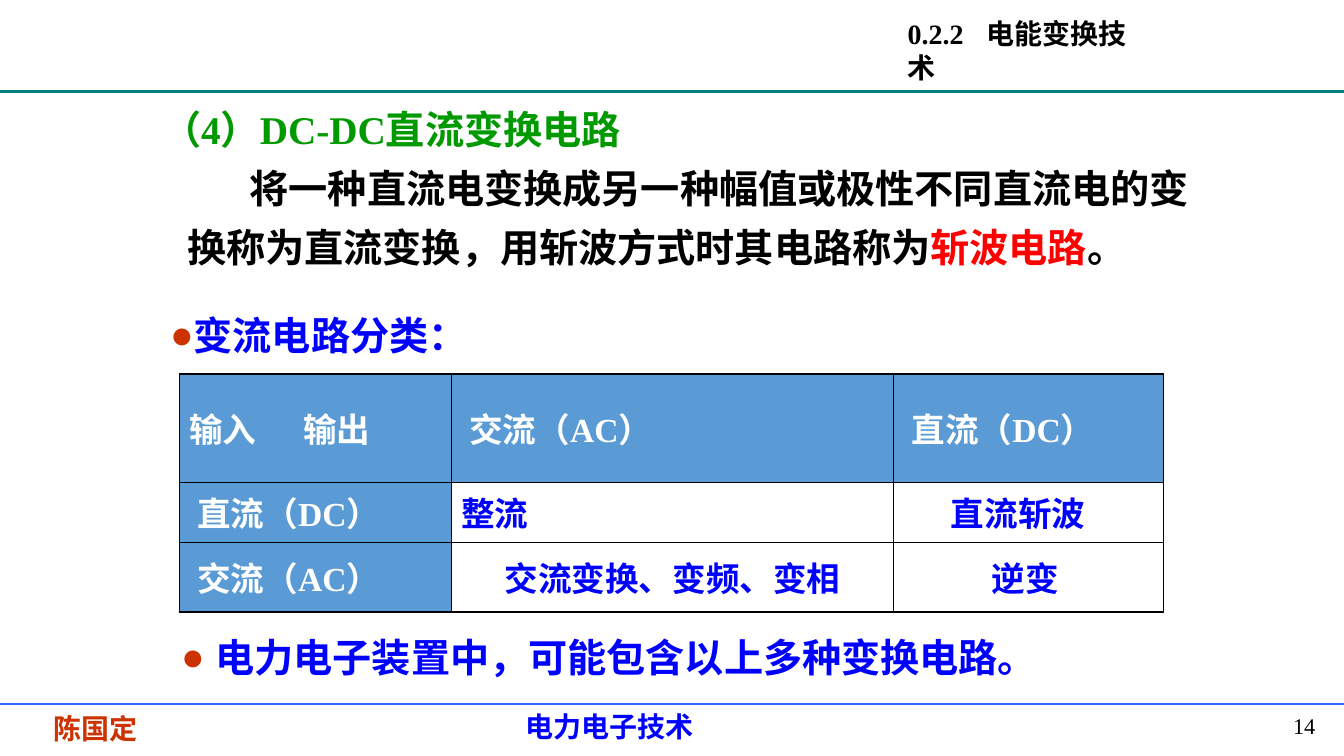
from itertools import product
from lxml.etree import SubElement
from pptx import Presentation
from pptx.dml.color import RGBColor
from pptx.enum.shapes import MSO_CONNECTOR
from pptx.enum.text import MSO_ANCHOR, PP_ALIGN
from pptx.oxml.ns import qn
from pptx.util import Inches, Pt

WIDTH, HEIGHT = Inches(13.34), Inches(7.5)
BLACK = RGBColor(0x00, 0x00, 0x00)
WHITE = RGBColor(0xFF, 0xFF, 0xFF)
BLUE = RGBColor(0x00, 0x00, 0xFF)
RED = RGBColor(0xFF, 0x00, 0x00)
GREEN = RGBColor(0x00, 0x99, 0x00)
RUST = RGBColor(0xCC, 0x33, 0x00)
TEAL = RGBColor(0x00, 0x80, 0x80)
RULE_BLUE = RGBColor(0x33, 0x66, 0xFF)
HEADER_BLUE = RGBColor(0x5B, 0x9B, 0xD5)
ARIAL, TIMES, CJK = "Arial", "Times New Roman", "Noto Sans CJK SC"

TABLE_COLS = (20.24, 32.91, 20.09)
TABLE_ROWS = (14.27, 8, 9.2)
TABLE_TEXT = (
    ("输入\t输出", "交流（AC）", "直流（DC）"),
    ("直流（DC）", "整流", "直流斩波"),
    ("交流（AC）", "交流变换、变频、变相", "逆变"),
)
CENTERED = {(1, 2): 0.21, (2, 1): 0, (2, 2): 0.07}


def across(percent):
    return round(WIDTH * percent / 100)


def down(percent):
    return round(HEIGHT * percent / 100)


def format_run(r, size, color, font=ARIAL, bold=True):
    r.font.size, r.font.bold, r.font.name = Pt(size), bold, font
    r.font.color.rgb = color
    SubElement(r._r.get_or_add_rPr(), qn("a:ea"), typeface=CJK)


def set_indent(p, left=0, first=0, right=0):
    pPr = p._p.get_or_add_pPr()
    for name, value in (("marL", left), ("indent", first), ("marR", right)):
        pPr.set(name, str(Inches(value)))


def add_tab(p, position):
    tabs = SubElement(p._p.get_or_add_pPr(), qn("a:tabLst"))
    SubElement(tabs, qn("a:tab"), pos=str(Inches(position)), algn="l")


def add_bullet(p, hang):
    set_indent(p, hang, -hang)
    pPr = p._p.get_or_add_pPr()
    color = SubElement(pPr, qn("a:buClr"))
    SubElement(color, qn("a:srgbClr"), val=str(RUST))
    SubElement(pPr, qn("a:buFont"), typeface=ARIAL)
    SubElement(pPr, qn("a:buChar"), char="●")


def add_text(slide, box, text="", align=PP_ALIGN.LEFT, inset=(0.1, 0.05), anchor=MSO_ANCHOR.TOP):
    x, y, w, h = box
    tf = slide.shapes.add_textbox(across(x), down(y), across(w), down(h)).text_frame
    tf.word_wrap = True
    tf.vertical_anchor = anchor
    tf.margin_left = tf.margin_right = Inches(inset[0])
    tf.margin_top = tf.margin_bottom = Inches(inset[1])
    tf.text = text
    tf.paragraphs[0].alignment = align
    return tf


def add_label(slide, box, text, size, color, font=ARIAL, bold=True, **layout):
    p = add_text(slide, box, text, **layout).paragraphs[0]
    format_run(p.runs[0], size, color, font, bold)
    return p


def add_rule(slide, y, color, width):
    line = slide.shapes.add_connector(MSO_CONNECTOR.STRAIGHT, 0, down(y), WIDTH, down(y))
    line.line.color.rgb = color
    line.line.width = Pt(width)
    SubElement(line._element.spPr, qn("a:effectLst"))


def add_definition(slide):
    tf = add_text(slide, (11.32, 11.73, 79.09, 24.67), "（4）DC-DC直流变换电路")
    title, body = tf.paragraphs[0], tf.add_paragraph()
    format_run(title.runs[0], 28, GREEN, TIMES)
    set_indent(title, 0.25, -0.25)
    set_indent(body, 0.25, 0.62)
    for text, color in (
        ("将一种直流电变换成另一种幅值或极性不同直流电的变换称为直流变换，用斩波方式时其电路称为", BLACK),
        ("斩波电路", RED),
        ("。", BLACK),
    ):
        r = body.add_run()
        r.text = text
        format_run(r, 28, color, TIMES)
    for p in tf.paragraphs:
        p.line_spacing = 1.25


def add_borders(cell, row, col):
    tcPr = cell._tc.get_or_add_tcPr()
    outer = {"L": col == 0, "R": col == 2, "T": row == 0, "B": row == 2}
    for side, is_outer in outer.items():
        ln = SubElement(tcPr, qn(f"a:ln{side}"), w=str(Pt(1.08 if is_outer else 0.45)))
        fill = SubElement(ln, qn("a:solidFill"))
        SubElement(fill, qn("a:srgbClr"), val=str(BLACK))


def add_circuit_table(slide):
    table = slide.shapes.add_table(
        3, 3, across(13.34), down(49.47), across(sum(TABLE_COLS)), down(sum(TABLE_ROWS))
    ).table
    table.first_row = table.horz_banding = False
    for column, width in zip(table.columns, TABLE_COLS):
        column.width = across(width)
    for row, height in zip(table.rows, TABLE_ROWS):
        row.height = down(height)
    for row, col in product(range(3), repeat=2):
        cell = table.cell(row, col)
        is_header = row == 0 or col == 0
        add_borders(cell, row, col)
        cell.fill.solid()
        cell.fill.fore_color.rgb = HEADER_BLUE if is_header else WHITE
        cell.vertical_anchor = MSO_ANCHOR.MIDDLE
        cell.text = TABLE_TEXT[row][col]
        p = cell.text_frame.paragraphs[0]
        if row == col == 0:
            add_tab(p, 1.13)
        elif is_header:
            set_indent(p, 0.08)
        elif (row, col) in CENTERED:
            p.alignment = PP_ALIGN.CENTER
            set_indent(p, right=CENTERED[row, col])
        format_run(p.runs[0], 24, WHITE if is_header else BLUE, CJK if row == col == 0 else TIMES)


def add_footer(slide):
    add_rule(slide, 93.07, RULE_BLUE, 1.5)
    add_label(slide, (38.38, 93.87, 15, 4.4), "电力电子技术", 20, BLUE, inset=(0.1, 0))
    add_label(slide, (0, 94.13, 14.17, 4.4), "陈国定", 20, RUST, align=PP_ALIGN.CENTER, inset=(0, 0))
    add_label(slide, (94.08, 93.6, 5.92, 4.93), "14", 16, BLACK, TIMES, False,
              align=PP_ALIGN.CENTER, inset=(0.02, 0.05))


def main():
    prs = Presentation()
    prs.slide_width, prs.slide_height = WIDTH, HEIGHT
    slide = prs.slides.add_slide(prs.slide_layouts[6])
    add_rule(slide, 12.13, TEAL, 2)
    add_footer(slide)
    add_definition(slide)
    add_circuit_table(slide)
    heading = add_label(slide, (65.89, 1.07, 21.51, 11.2), "0.2.2\t电能变换技术", 20, BLACK, TIMES,
                        inset=(0.22, 0.05), anchor=MSO_ANCHOR.MIDDLE)
    add_tab(heading, 0.78)
    for box, text, hang in (
        ((12.74, 83.07, 68.22, 7.6), "电力电子装置中，可能包含以上多种变换电路。", 0.34),
        ((11.92, 40.53, 27.74, 7.6), "变流电路分类：", 0.23),
    ):
        add_bullet(add_label(slide, box, text, 28, BLUE), hang)
    prs.save("out.pptx")


if __name__ == "__main__":
    main()
